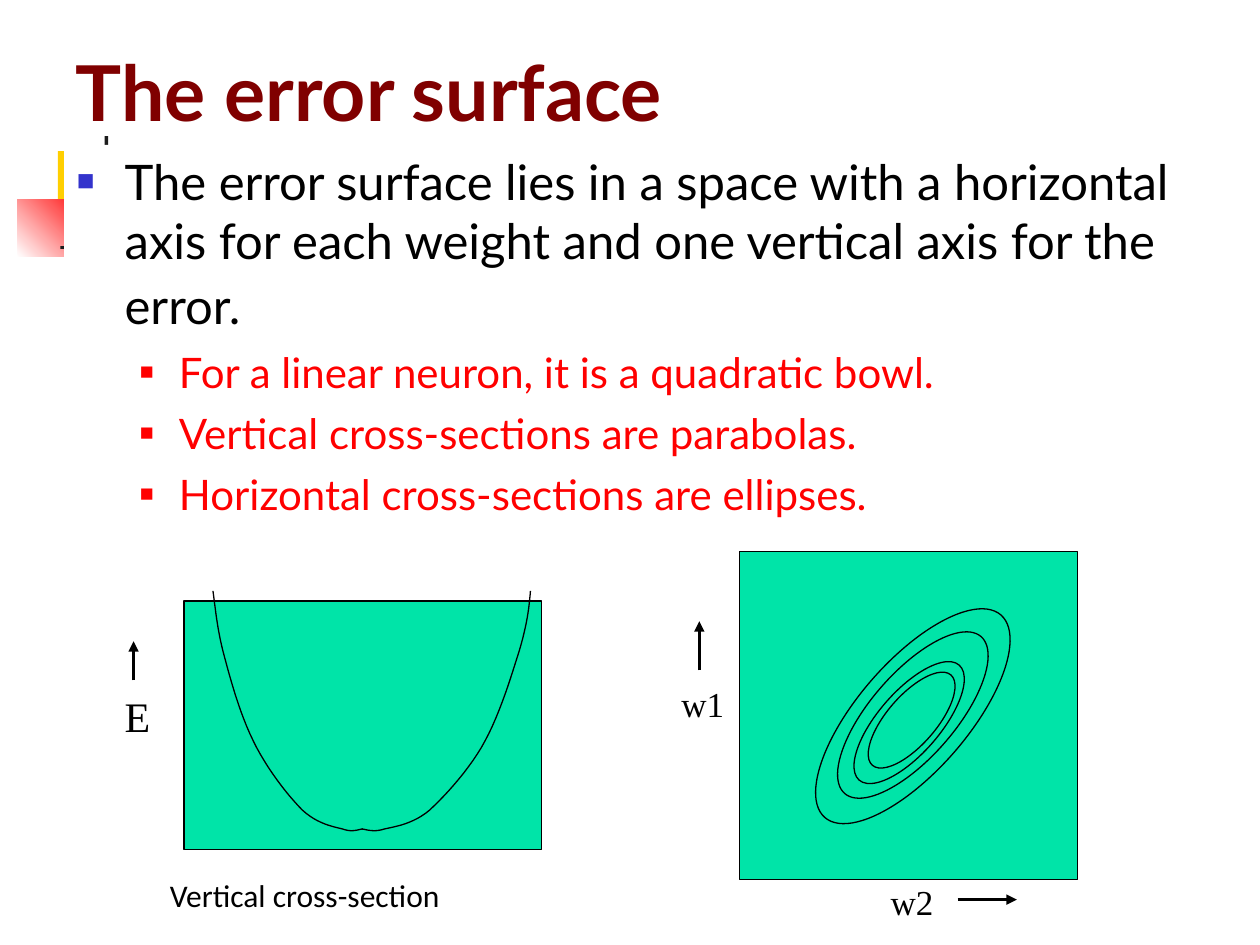
from typing import NamedTuple, Optional

from lxml import etree
from pptx import Presentation
from pptx import util as u
from pptx.dml.color import RGBColor
from pptx.enum import shapes, text
from pptx.oxml.ns import qn

COLORS = {
    "white": "FFFFFF", "black": "000000", "ink": "1C1C1C", "yellow": "FFCF01",
    "red": "FF0000", "maroon": "800000", "blue": "3333CC", "green": "00E4A8",
}
RECT, OVAL = shapes.MSO_SHAPE.RECTANGLE, shapes.MSO_SHAPE.OVAL


class Block(NamedTuple):
    box: tuple
    fill: str
    fade: Optional[str] = None
    angle: int = 0
    kind: int = RECT
    line: Optional[str] = None
    turn: int = 0


class Label(NamedTuple):
    words: str
    box: tuple
    size: int
    font: str = "Times New Roman"


class Bullet(NamedTuple):
    words: str
    level: int = 0
    size: int = 28
    color: str = "black"
    mark: str = "blue"
    mark_size: int = 60
    left: float = 0.38
    hang: float = 0.38
    before: int = 0


class Arrow(NamedTuple):
    start: tuple
    end: tuple


def sub_bullet(words: str) -> Bullet:
    """Describe a second-level bullet."""
    return Bullet(words, 1, 24, "red", "red", 55, 0.81, 0.31, 6)


DECOR = [
    Block((0.46, 1.2, 0.48, 0.52), "yellow"),
    Block((0.14, 1.58, 0.61, 0.46), "white", "red", 45),
    Block((0.83, 1.08, 0.03, 1.15), "ink"),
    Block((0.48, 1.95, 9, 0.03), "ink", "white"),
]
PANELS = [
    Block((1.46, 4.77, 2.84, 1.97), "green", line="black"),
    Block((5.87, 4.38, 2.68, 2.6), "green", line="black"),
]
CONTOURS = [
    Block(box, "green", kind=OVAL, line="black", turn=41)
    for box in [(6.81, 4.62, 0.87, 2.13), (6.91, 4.85, 0.67, 1.65),
                (6.97, 5.13, 0.49, 1.21), (7.04, 5.24, 0.39, 0.95)]
]
BULLETS = [
    Bullet("The error surface lies in a space with a horizontal axis for each "
           "weight and one vertical axis for the error."),
    sub_bullet("For a linear neuron, it is a quadratic bowl."),
    sub_bullet("Vertical cross-sections are parabolas."),
    sub_bullet("Horizontal cross-sections are ellipses."),
]
LABELS = [
    Label("E", (0.89, 5.43, 0.4, 0.5), 24),
    Label("w1", (5.31, 5.37, 0.54, 0.44), 20),
    Label("w2", (6.97, 6.94, 0.54, 0.44), 20),
    Label("Vertical cross-section", (1.25, 6.9, 2.67, 0.4), 18, "Calibri"),
]
ARROWS = [
    Arrow((1.06, 5.4), (1.06, 5.09)),
    Arrow((5.55, 5.32), (5.55, 4.93)),
    Arrow((7.6, 7.14), (8.07, 7.14)),
]
PARABOLA = [
    [(1.69, 4.69), (1.71, 4.83), (1.72, 4.97), (1.77, 5.17), (1.82, 5.36),
     (1.9, 5.66), (2.01, 5.88), (2.11, 6.09), (2.28, 6.31), (2.4, 6.43),
     (2.52, 6.54), (2.64, 6.56), (2.72, 6.58), (2.8, 6.61), (2.85, 6.58), (2.88, 6.58)],
    [(4.21, 4.69), (4.2, 4.83), (4.18, 4.97), (4.12, 5.17), (4.06, 5.36),
     (3.97, 5.66), (3.85, 5.88), (3.74, 6.09), (3.54, 6.31), (3.41, 6.43),
     (3.28, 6.54), (3.14, 6.56), (3.05, 6.58), (2.96, 6.61), (2.9, 6.58), (2.87, 6.58)],
]


def rgb(name: str) -> RGBColor:
    """Look up a colour."""
    return RGBColor.from_string(COLORS[name])


def inches(values: tuple) -> list:
    """Turn numbers into lengths."""
    return [u.Inches(v) for v in values]


def set_font(font, color: str, **values) -> None:
    """Apply a colour and format values to a font."""
    for key, value in values.items():
        setattr(font, key, value)
    font.color.rgb = rgb(color)


def place(sp, box: tuple) -> None:
    """Move and size a shape."""
    for key, value in zip(("left", "top", "width", "height"), inches(box)):
        setattr(sp, key, value)


def set_line(line, width: float) -> None:
    """Make a black line."""
    line.color.rgb = rgb("black")
    line.width = u.Pt(width)


def draw_block(s, block: Block) -> None:
    """Draw a filled preset shape."""
    sp = s.shapes.add_shape(block.kind, *inches(block.box))
    sp.shadow.inherit = False
    sp.rotation = block.turn
    if block.fade:
        sp.fill.gradient()
        sp.fill.gradient_angle = block.angle
        for stop, name in zip(sp.fill.gradient_stops, (block.fill, block.fade)):
            stop.color.rgb = rgb(name)
    else:
        sp.fill.solid()
        sp.fill.fore_color.rgb = rgb(block.fill)
    if block.line:
        set_line(sp.line, 0.75)
    else:
        sp.line.fill.background()


def draw_curve(s, knots: list, steps: int = 12) -> None:
    """Draw a chain of cubic curves as an open outline."""
    points = []
    for i in range(0, len(knots) - 1, 3):
        for k in range(1, steps + 1):
            t = k / steps
            weights = ((1 - t) ** 3, 3 * t * (1 - t) ** 2, 3 * t * t * (1 - t), t ** 3)
            points.append(tuple(u.Inches(sum(w * q[axis] for w, q in zip(weights, knots[i:i + 4])))
                                for axis in (0, 1)))
    builder = s.shapes.build_freeform(*inches(knots[0]))
    builder.add_line_segments(points, close=False)
    sp = builder.convert_to_shape()
    sp.shadow.inherit = False
    sp.fill.background()
    set_line(sp.line, 0.75)


def draw_arrow(s, arrow: Arrow) -> None:
    """Draw a straight arrow."""
    cx = s.shapes.add_connector(shapes.MSO_CONNECTOR.STRAIGHT, *inches(arrow.start + arrow.end))
    set_line(cx.line, 1.5)
    etree.SubElement(cx.line._get_or_add_ln(), qn("a:tailEnd"), type="triangle")
    etree.SubElement(cx._element.spPr, qn("a:effectLst"))


def draw_label(s, label: Label) -> None:
    """Draw a one-line text box."""
    tf = s.shapes.add_textbox(*inches(label.box)).text_frame
    tf.word_wrap = False
    tf.auto_size = text.MSO_AUTO_SIZE.SHAPE_TO_FIT_TEXT
    r = tf.paragraphs[0].add_run()
    r.text = label.words
    set_font(r.font, "black", name=label.font, size=u.Pt(label.size))


def write_bullet(p, bullet: Bullet) -> None:
    """Fill a paragraph of the list."""
    pPr = p._p.get_or_add_pPr()
    pPr.set("marL", str(u.Inches(bullet.left)))
    pPr.set("indent", str(-u.Inches(bullet.hang)))
    color = etree.SubElement(pPr, qn("a:buClr"))
    etree.SubElement(color, qn("a:srgbClr"), val=COLORS[bullet.mark])
    etree.SubElement(pPr, qn("a:buSzPct"), val=str(bullet.mark_size * 1000))
    etree.SubElement(pPr, qn("a:buFont"), typeface="Arial")
    etree.SubElement(pPr, qn("a:buChar"), char="■")
    p.level = bullet.level
    p.space_before = u.Pt(bullet.before)
    r = p.add_run()
    r.text = bullet.words
    set_font(r.font, bullet.color, name="Lato", size=u.Pt(bullet.size))


def write_title(sp) -> None:
    """Fill the title placeholder."""
    place(sp, (0.5, -0.11, 9, 1.25))
    tf = sp.text_frame
    tf.vertical_anchor = text.MSO_ANCHOR.BOTTOM
    p = tf.paragraphs[0]
    p.alignment = text.PP_ALIGN.LEFT
    r = p.add_run()
    r.text = "The error surface"
    set_font(r.font, "maroon", name="Lato", size=u.Pt(44), bold=True)


def write_body(sp) -> None:
    """Fill the body placeholder."""
    place(sp, (0.51, 1.15, 9, 4.95))
    sp.fill.solid()
    sp.fill.fore_color.rgb = rgb("white")
    tf = sp.text_frame
    tf.auto_size = text.MSO_AUTO_SIZE.NONE
    for i, bullet in enumerate(BULLETS):
        write_bullet(tf.add_paragraph() if i else tf.paragraphs[0], bullet)
    r = tf.paragraphs[0].add_run()
    r.text = " "
    set_font(r.font, "black", name="Lato", size=u.Pt(32))


def main() -> None:
    """Build and save the slide."""
    prs = Presentation()
    prs.slide_width, prs.slide_height = inches((10, 7.5))
    s = prs.slides.add_slide(prs.slide_layouts[1])
    title, body = s.placeholders
    for block in DECOR:
        draw_block(s, block)
    for sp, write in ((title, write_title), (body, write_body)):
        s.shapes._spTree.append(sp._element)
        write(sp)
    for draw, items in ((draw_block, PANELS), (draw_curve, PARABOLA), (draw_arrow, ARROWS),
                        (draw_block, CONTOURS), (draw_label, LABELS)):
        for item in items:
            draw(s, item)
    prs.save("out.pptx")


if __name__ == "__main__":
    main()
